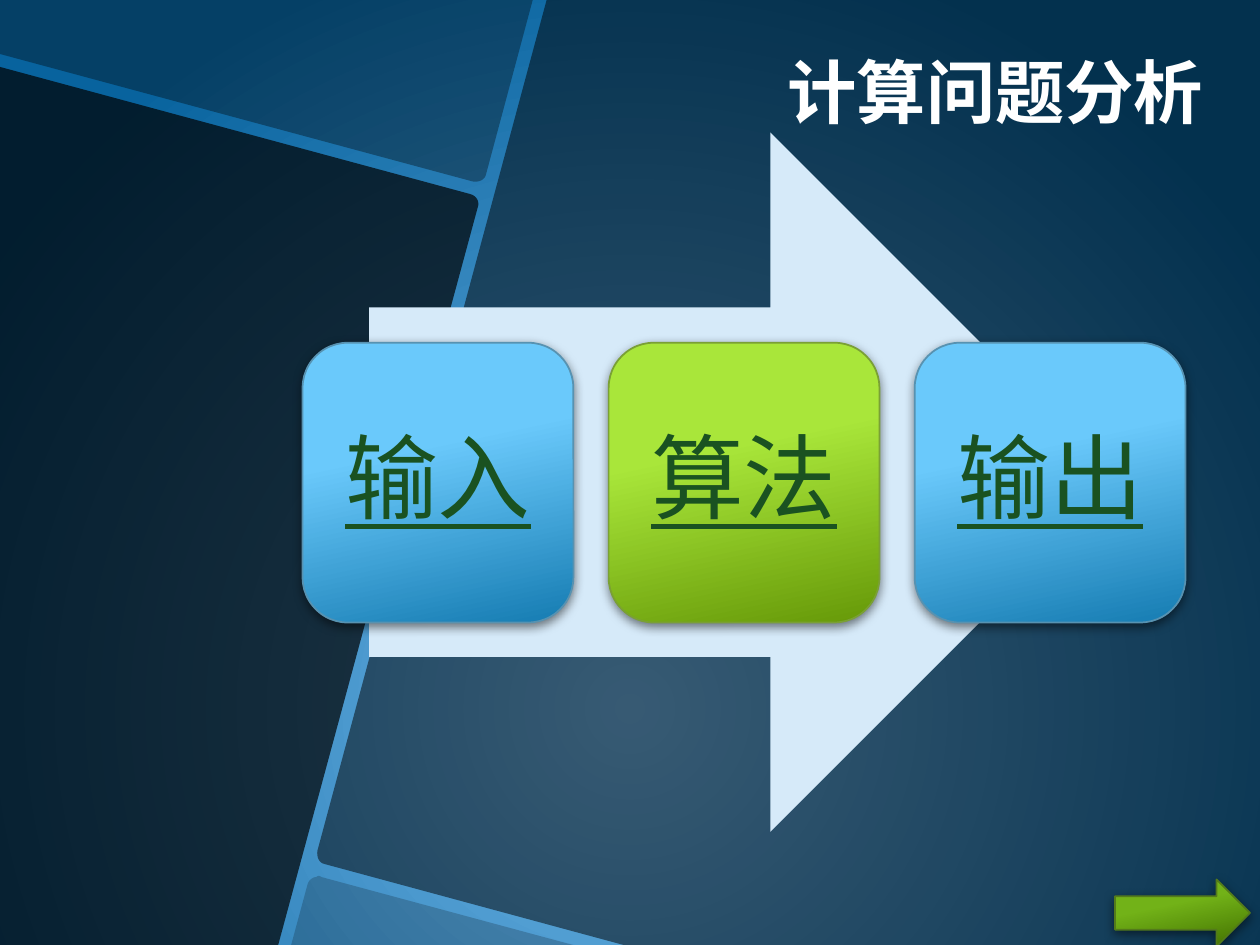
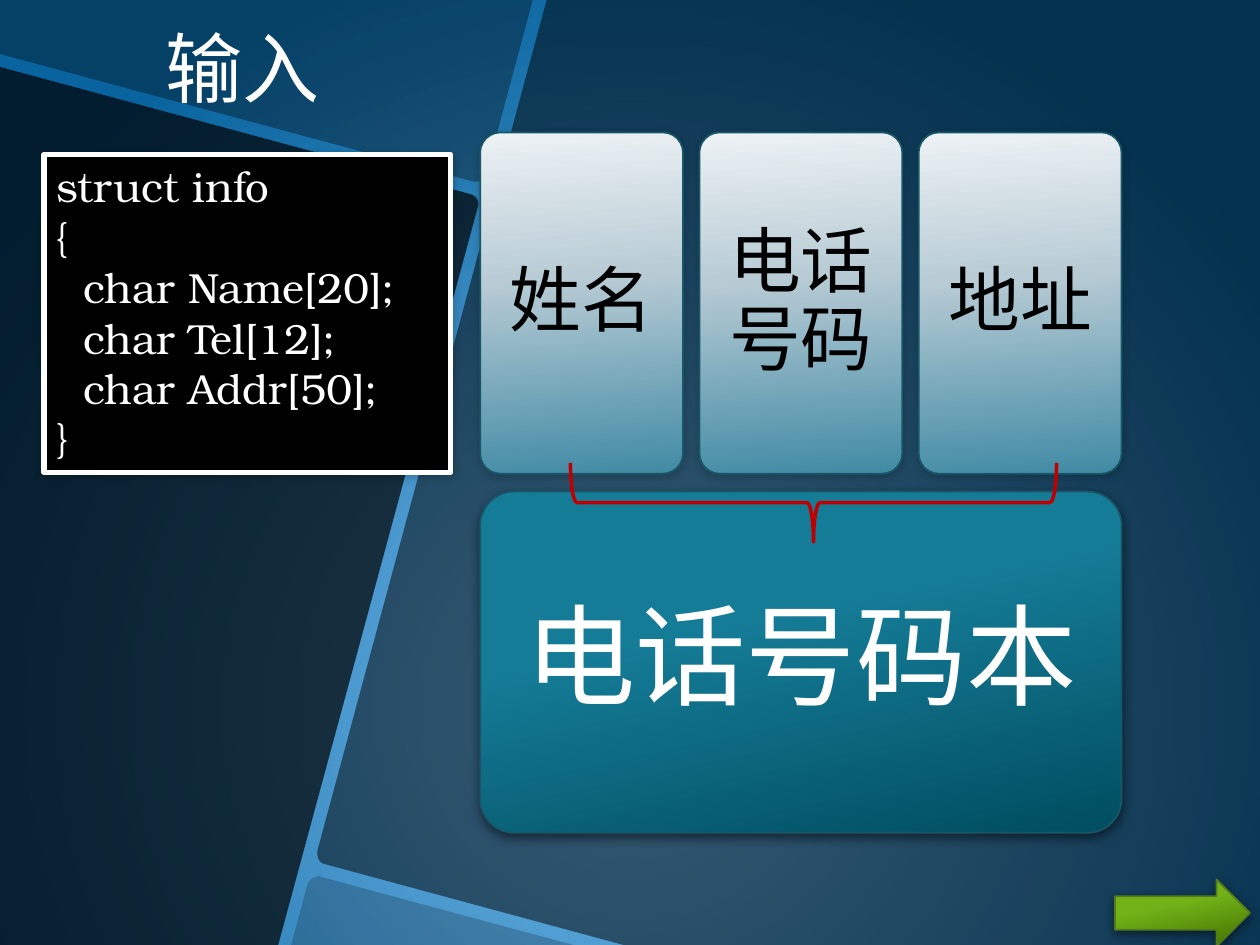
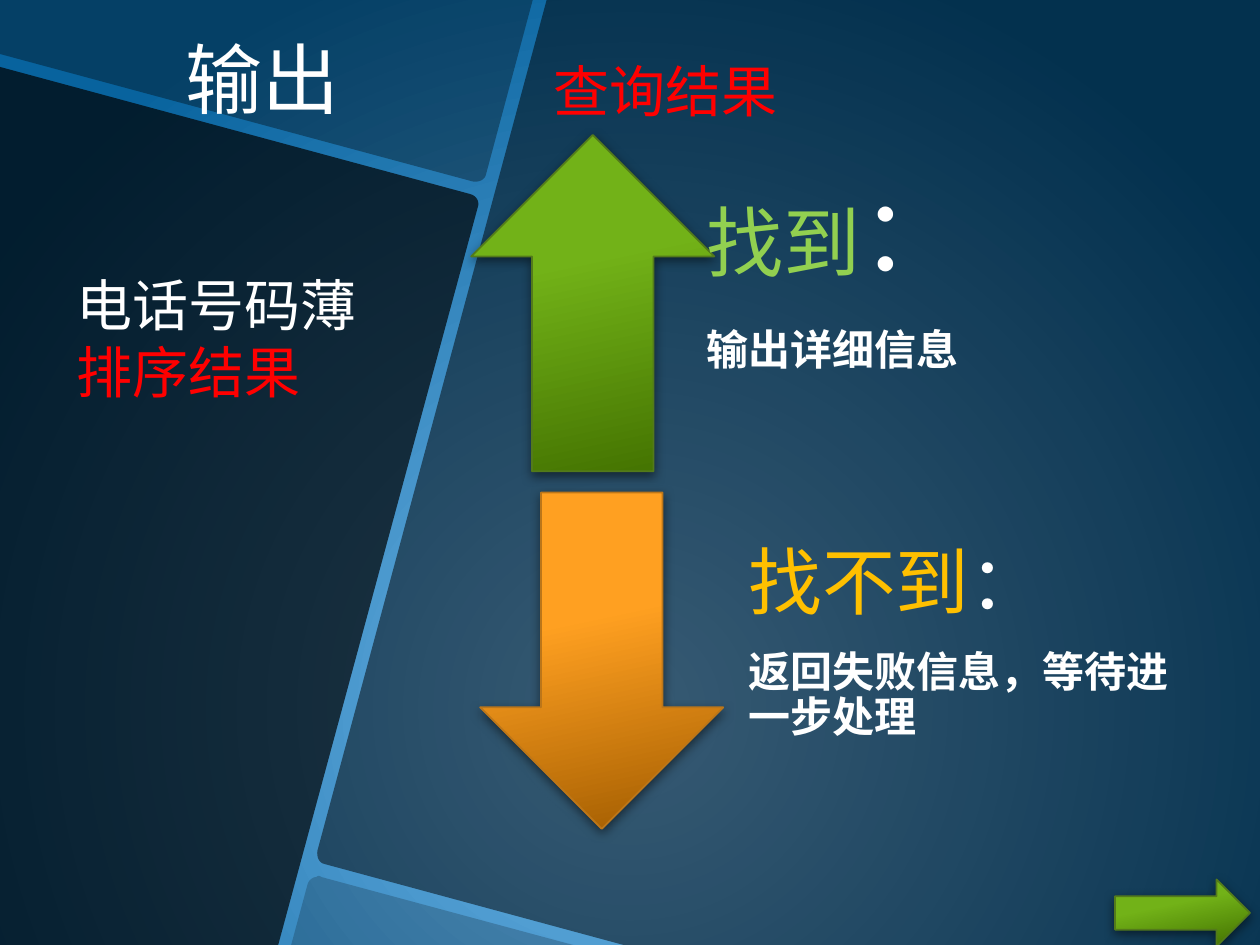
from pptx import Presentation
from pptx.dml.color import RGBColor
from pptx.enum.shapes import MSO_SHAPE
from pptx.enum.text import MSO_ANCHOR, MSO_AUTO_SIZE, PP_ALIGN
from pptx.oxml import parse_xml
from pptx.oxml.ns import nsdecls, qn
from pptx.util import Cm, Pt

FONT = "TeX Gyre Bonum"
WHITE, BLACK, RED = "FFFFFF", "000000", "FF0000"

# Gradients: stops (percent, colour) and angle
BLUE = ([(38, "6AC9FB"), (100, "167CB2")], 78)
LIME = ([(38, "A9E63A"), (100, "669908")], 78)
GREEN = ([(38, "72B218"), (100, "427100")], 78)
ORANGE = ([(38, "FFA021"), (100, "A15C00")], 78)
TEAL = ([(38, "157C97"), (100, "004D60")], 78)
PALE = ([(0, "EDF2F5"), (42, "B9CCD5"), (100, "418BA5")], 86)

# Shadows: opacity percent, blur, distance
STRONG, SOFT = (50, 6, 2), (20, 5, 1)

# Dark panels: opacity percent and outline; a triple of points is a curve
PANELS = [
    (70, [(0, 1.35), (9.47, 3.91), ((9.6, 3.94), (9.68, 4.06), (9.63, 4.19)),
          (5.61, 19.05), (0, 19.05)]),
    (35, [(0, 0), (10.74, 0), (9.8, 3.51),
          ((9.78, 3.63), (9.65, 3.68), (9.53, 3.66)), (0, 1.09)]),
    (20, [(6.38, 17.68), ((6.4, 17.65), (6.45, 17.65), (6.48, 17.68)),
          (11.56, 19.05), (5.87, 19.05), (6.2, 17.83),
          ((6.22, 17.75), (6.3, 17.68), (6.38, 17.68))]),
    (50, [(11.02, 0), (25.4, 0), (25.4, 19.05), (12.57, 19.05), (6.55, 17.42),
          ((6.43, 17.4), (6.38, 17.27), (6.4, 17.15))]),
]


def rgb(colour):
    return RGBColor.from_string(colour)


def set_gradient(fill, parent, stops, shade):
    """Fill with the given stops; shade is the a:lin or a:path element."""
    fill.gradient()
    gs = "".join(f'<a:gs pos="{pos * 1000}"><a:srgbClr val="{c}"/></a:gs>'
                 for pos, c in stops)
    grad = parse_xml(f'<a:gradFill {nsdecls("a")}><a:gsLst>{gs}</a:gsLst>'
                     f'{shade}</a:gradFill>')
    parent.find(".//" + qn("a:gradFill"))[:] = list(grad)


def flatten(outline, steps=8):
    """Turn the curves of an outline into short straight pieces."""
    points = []
    for item in outline:
        if len(item) == 2:
            points.append(item)
            continue
        a, (b, c, d) = points[-1], item
        for i in range(1, steps + 1):
            t = i / steps
            u = 1 - t
            points.append(tuple(
                u**3 * a[k] + 3 * u * u * t * b[k] + 3 * u * t * t * c[k] + t**3 * d[k]
                for k in (0, 1)))
    return points


def write(tf, paras, size, color=WHITE, align=PP_ALIGN.LEFT, anchor=MSO_ANCHOR.TOP,
          insets=None, spacing=None, **font):
    """Write paragraphs, each a list of (text, format) runs."""
    tf.word_wrap = True
    tf.auto_size = MSO_AUTO_SIZE.NONE
    tf.vertical_anchor = anchor
    if insets:
        sides = [Cm(v) for v in insets]
        tf.margin_left, tf.margin_top, tf.margin_right, tf.margin_bottom = sides
    for i, runs in enumerate(paras):
        p = tf.add_paragraph() if i else tf.paragraphs[0]
        p.alignment = align
        if spacing:
            p.line_spacing = spacing
            p.space_after = Pt(round(0.35 * max(f.get("size", size) for _, f in runs)))
        for text, own in runs:
            fmt = {"size": size, "color": color, **font, **own}
            r = p.add_run()
            r.text = text
            r.font.name = FONT
            r.font.size = Pt(fmt["size"])
            r.font.color.rgb = rgb(fmt["color"])
            r.font.bold = fmt.get("bold", False)
            r.font.underline = fmt.get("underline", False)


class Deck:
    def __init__(self):
        self.prs = Presentation()
        self.prs.slide_width, self.prs.slide_height = Cm(25.4), Cm(19.05)
        self.s = None

    def slide(self, title, *box, **fmt):
        self.s = self.prs.slides.add_slide(self.prs.slide_layouts[5])
        sp = self.s.shapes.title
        sp.left, sp.top, sp.width, sp.height = [Cm(v) for v in box]
        write(sp.text_frame, [[(title, {})]], align=PP_ALIGN.RIGHT,
              anchor=MSO_ANCHOR.BOTTOM, **fmt)
        self.shape(MSO_SHAPE.RIGHT_ARROW, 22.48, 17.73, 2.72, 1.35,
                   GREEN, "537A1B", shadow=STRONG)

    def shape(self, kind, x, y, w, h, fill=None, line=None, width=1, shadow=None,
              adj=None):
        sp = self.s.shapes.add_shape(kind, Cm(x), Cm(y), Cm(w), Cm(h))
        if adj is not None:
            sp.adjustments[0] = adj
        self.paint(sp, fill, line, width, shadow)
        return sp

    def paint(self, sp, fill, line=None, width=1, shadow=None):
        spPr = sp.element.spPr
        if fill is None:
            sp.fill.background()
        elif isinstance(fill, str):
            sp.fill.solid()
            sp.fill.fore_color.rgb = rgb(fill)
        else:
            stops, angle = fill
            set_gradient(sp.fill, spPr, stops, f'<a:lin ang="{angle * 60000}" scaled="0"/>')
        if line:
            sp.line.color.rgb = rgb(line)
            sp.line.width = Pt(width)
        else:
            sp.line.fill.background()
        sp.shadow.inherit = False
        if shadow:
            alpha, blur, dist = shadow
            spPr.find(qn("a:effectLst")).append(parse_xml(
                f'<a:outerShdw {nsdecls("a")} blurRad="{Pt(blur)}" dist="{Pt(dist)}" '
                f'dir="5400000" rotWithShape="0"><a:srgbClr val="{BLACK}">'
                f'<a:alpha val="{alpha * 1000}"/></a:srgbClr></a:outerShdw>'))

    def card(self, text, x, y, w, h, fill, line, inset, size, shadow=STRONG, adj=None,
             **fmt):
        sp = self.shape(MSO_SHAPE.ROUNDED_RECTANGLE, x, y, w, h, fill, line,
                        shadow=shadow, adj=adj)
        write(sp.text_frame, [[(text, {})]], size, align=PP_ALIGN.CENTER,
              anchor=MSO_ANCHOR.MIDDLE, insets=[inset] * 4, spacing=0.9, **fmt)

    def text(self, paras, x, y, w, h, size, **fmt):
        sp = self.s.shapes.add_textbox(Cm(x), Cm(y), Cm(w), Cm(h))
        write(sp.text_frame, paras, size, **fmt)

    def master(self):
        """Give the master its background and panels, drawn on the current slide first."""
        master = self.prs.slide_master
        set_gradient(master.background.fill, master.element,
                     [(0, "70B6E8"), (100, "08639E")],
                     '<a:path path="circle"><a:fillToRect l="50000" t="50000" '
                     'r="50000" b="0"/></a:path>')
        tree = master.shapes.element
        for i, (opacity, outline) in enumerate(PANELS):
            points = [(Cm(x), Cm(y)) for x, y in flatten(outline)]
            builder = self.s.shapes.build_freeform(*points[0])
            builder.add_line_segments(points[1:], close=True)
            sp = builder.convert_to_shape()
            self.paint(sp, BLACK)
            color = sp.element.spPr.find(qn("a:solidFill"))[0]
            color.append(parse_xml(f'<a:alpha {nsdecls("a")} val="{opacity * 1000}"/>'))
            sp.name = f"Panel {i + 1}"
            tree.insert(2 + i, sp.element)


def main():
    deck = Deck()

    # Problem analysis: input, algorithm, output
    deck.slide("计算问题分析", 1.17, 0.91, 23.34, 1.88, size=39.6, bold=True)
    deck.master()
    deck.shape(MSO_SHAPE.RIGHT_ARROW, 7.44, 2.67, 15.14, 14.1, "D6EAF9")
    steps = [("输入", BLUE, "5792B1"), ("算法", LIME, "7AA035"), ("输出", BLUE, "5792B1")]
    for i, (label, fill, line) in enumerate(steps):
        deck.card(label, 6.1 + i * 6.17, 6.91, 5.46, 5.64, fill, line, 0.56, 53,
                  color="1A5221", underline=True)

    # Input: fields of the phone book
    deck.slide("输入", -7.37, -2.29, 14.07, 4.7, size=44)
    deck.card("电话号码本", 9.68, 9.91, 12.93, 6.88, TEAL, "185768", 0.66, 63, adj=0.1)
    for i, field in enumerate(["姓名", "电话号码", "地址"]):
        deck.card(field, 9.68 + i * 4.42, 2.67, 4.09, 6.88, PALE, "185768", 0.43, 41,
                  shadow=SOFT, adj=0.1, color=BLACK)
    brace = deck.shape(MSO_SHAPE.LEFT_BRACE, 15.6, 5.23, 1.6, 9.8, line="C00000", width=2)
    brace.rotation = 270

    # Record definition
    code = ["struct info", "{", "char Name[20];", "char Tel[12];", "char Addr[50];", "}"]
    sp = deck.shape(MSO_SHAPE.RECTANGLE, 0.89, 3.12, 8.2, 6.4, BLACK, WHITE, 3, SOFT)
    write(sp.text_frame, [[(row, {})] for row in code], 24)
    for p in sp.text_frame.paragraphs[2:5]:
        p._p.get_or_add_pPr().set("marL", str(Cm(0.54)))

    # Output: found or not found
    deck.slide("输出", -6.96, -2.08, 14.07, 4.7, size=44)
    deck.shape(MSO_SHAPE.UP_ARROW, 9.5, 2.72, 4.9, 6.78, GREEN, "537A1B", shadow=STRONG)
    deck.shape(MSO_SHAPE.DOWN_ARROW, 9.68, 9.93, 4.9, 6.78, ORANGE, "BC7619", shadow=STRONG)
    results = [
        ("找到", "92D050", 44, 58, "输出详细信息", (13.39, 2.67, 9.68, 6.78), 0.86),
        ("找不到", "FFC000", 42, 42, "返回失败信息，等待进一步处理",
         (14.25, 10.01, 10.87, 6.78), 0.84),
    ]
    for head, color, size, colon_size, detail, box, inset in results:
        deck.text([[(head, {"color": color}), ("：", {"size": colon_size})],
                   [(detail, {"size": 24, "bold": True})]], *box, size,
                  anchor=MSO_ANCHOR.MIDDLE, insets=(inset, 0, inset, inset), spacing=0.9)
    deck.text([[("电话号码薄", {}), ("排序结果", {"color": RED})]], 1.3, 5.33, 6.4, 3, 32)
    deck.text([[("查询结果", {"color": RED})]], 10.9, 1.02, 6.4, 1.63, 32)

    deck.prs.save("out.pptx")


if __name__ == "__main__":
    main()
